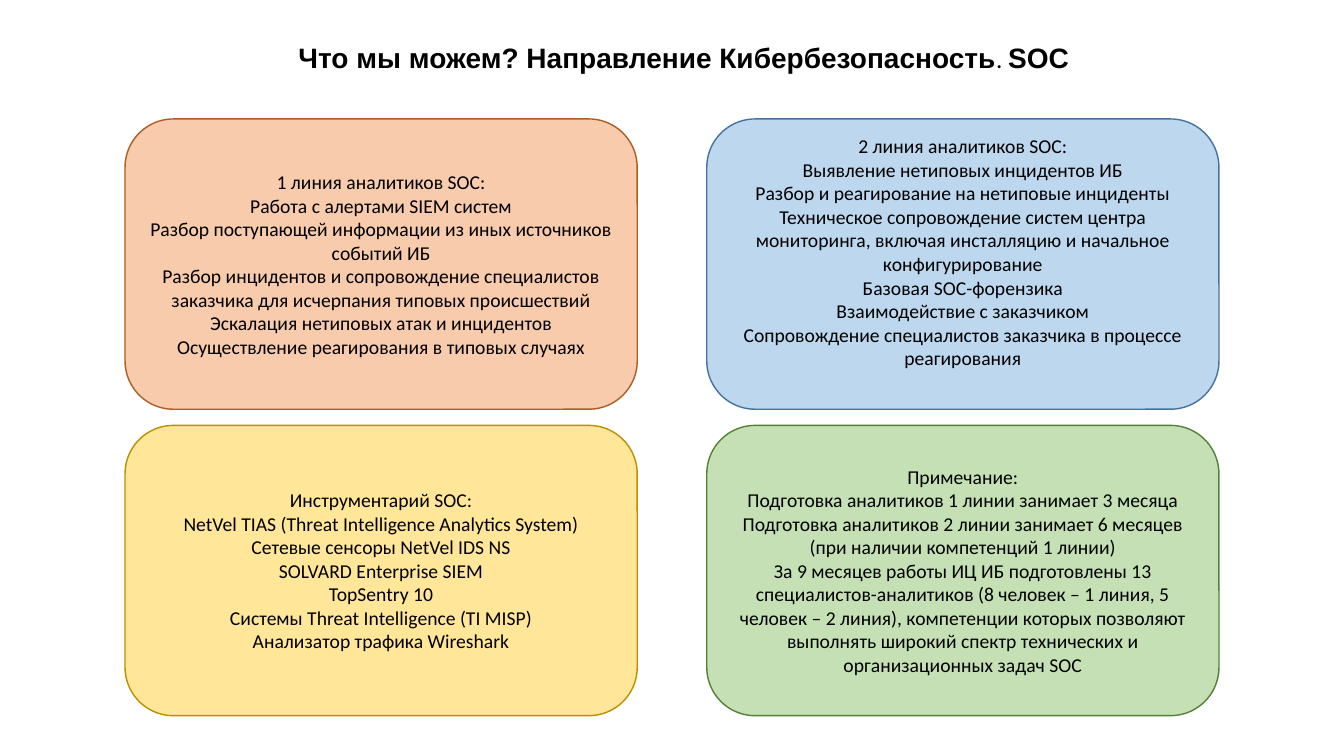
from pptx import Presentation
from pptx import util as u
from pptx.dml.color import RGBColor
from pptx.enum import shapes, text

COLORS = {
    "white": "FFFFFF", "black": "000000",
    "peach": "F8CBAD", "rust": "AF5C24",
    "sky": "BDD7EE", "steel": "43739E",
    "sand": "FFE699", "ochre": "BD8E00",
    "mint": "C5E0B4", "moss": "538035",
}
LEFT, TOP = 1.24, 1.18
COLUMN_STEP, ROW_STEP = 5.77, 3.04
CARD_WIDTH, CARD_HEIGHT = 5.08, 2.88

# Fill, outline, bottom inset and lines of each card, row by row
CARDS = [
    ("peach", "rust", 0.05, [
        "1 линия аналитиков SOC:",
        "Работа с алертами SIEM систем",
        "Разбор поступающей информации из иных источников событий ИБ",
        "Разбор инцидентов и сопровождение специалистов заказчика для "
        "исчерпания типовых происшествий Эскалация нетиповых атак и инцидентов",
        "Осуществление реагирования в типовых случаях",
    ]),
    ("sky", "steel", 0.29, [
        "2 линия аналитиков SOC:",
        "Выявление нетиповых инцидентов ИБ",
        "Разбор и реагирование на нетиповые инциденты",
        "Техническое сопровождение систем центра мониторинга, включая "
        "инсталляцию и начальное конфигурирование",
        "Базовая SOC-форензика",
        "Взаимодействие с заказчиком",
        "Сопровождение специалистов заказчика в процессе реагирования",
    ]),
    ("sand", "ochre", 0.05, [
        "Инструментарий SOC:",
        "NetVel TIAS (Threat Intelligence Analytics System)",
        "Сетевые сенсоры NetVel IDS NS",
        "SOLVARD Enterprise SIEM",
        "TopSentry 10",
        "Системы Threat Intelligence (TI MISP)",
        "Анализатор трафика Wireshark",
    ]),
    ("mint", "moss", 0.05, [
        "Примечание:",
        "Подготовка аналитиков 1 линии занимает 3 месяца",
        "Подготовка аналитиков 2 линии занимает 6 месяцев "
        "(при наличии компетенций 1 линии)",
        "За 9 месяцев работы ИЦ ИБ подготовлены 13 специалистов-аналитиков "
        "(8 человек – 1 линия, 5 человек – 2 линия), компетенции которых "
        "позволяют выполнять широкий спектр технических и организационных "
        "задач SOC",
    ]),
]


def color(name):
    return RGBColor.from_string(COLORS[name])


def style_font(font, name, size, bold=False):
    font.name, font.size, font.bold = name, u.Pt(size), bold
    font.color.rgb = color("black")


deck = Presentation()
deck.slide_width, deck.slide_height = u.Inches(13.33), u.Inches(7.5)
page = deck.slides.add_slide(deck.slide_layouts[5])

title = page.shapes.title
title.left, title.top = u.Inches(2.86), u.Inches(0.35)
title.width, title.height = u.Inches(8.19), u.Inches(0.44)
title.fill.solid()
title.fill.fore_color.rgb = color("white")
title.text_frame.vertical_anchor = text.MSO_ANCHOR.TOP
title.text_frame.auto_size = text.MSO_AUTO_SIZE.NONE
heading = title.text_frame.paragraphs[0]
heading.alignment = text.PP_ALIGN.LEFT
for words, name, size, bold in [
    ("Что мы можем? Направление Кибербезопасность", "Arial", 20, True),
    (". ", "Calibri", 18, False),
    ("SOC", "Arial", 20, True),
]:
    span = heading.add_run()
    span.text = words
    style_font(span.font, name, size, bold)

for index, (fill, outline, bottom_inset, lines) in enumerate(CARDS):
    row, column = divmod(index, 2)
    card = page.shapes.add_shape(
        shapes.MSO_SHAPE.ROUNDED_RECTANGLE,
        u.Inches(LEFT + column * COLUMN_STEP), u.Inches(TOP + row * ROW_STEP),
        u.Inches(CARD_WIDTH), u.Inches(CARD_HEIGHT))
    card.shadow.inherit = False
    card.fill.solid()
    card.fill.fore_color.rgb = color(fill)
    card.line.color.rgb = color(outline)
    card.line.width = u.Pt(1)
    frame = card.text_frame
    frame.word_wrap = True
    frame.vertical_anchor = text.MSO_ANCHOR.MIDDLE
    frame.margin_bottom = u.Inches(bottom_inset)
    frame.text = "\n".join(lines)
    for para in frame.paragraphs:
        para.alignment = text.PP_ALIGN.CENTER
        style_font(para.font, "Calibri", 14)

deck.save("out.pptx")
